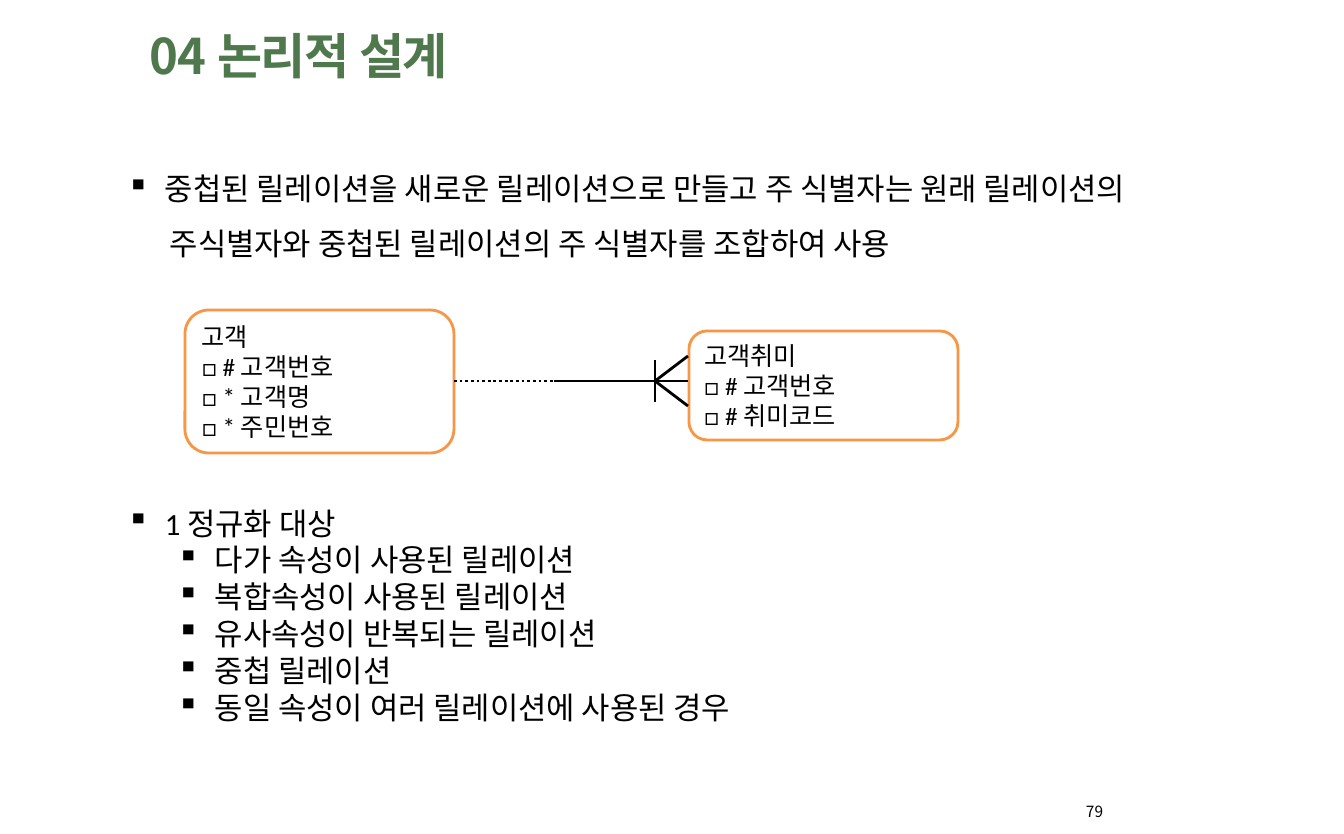
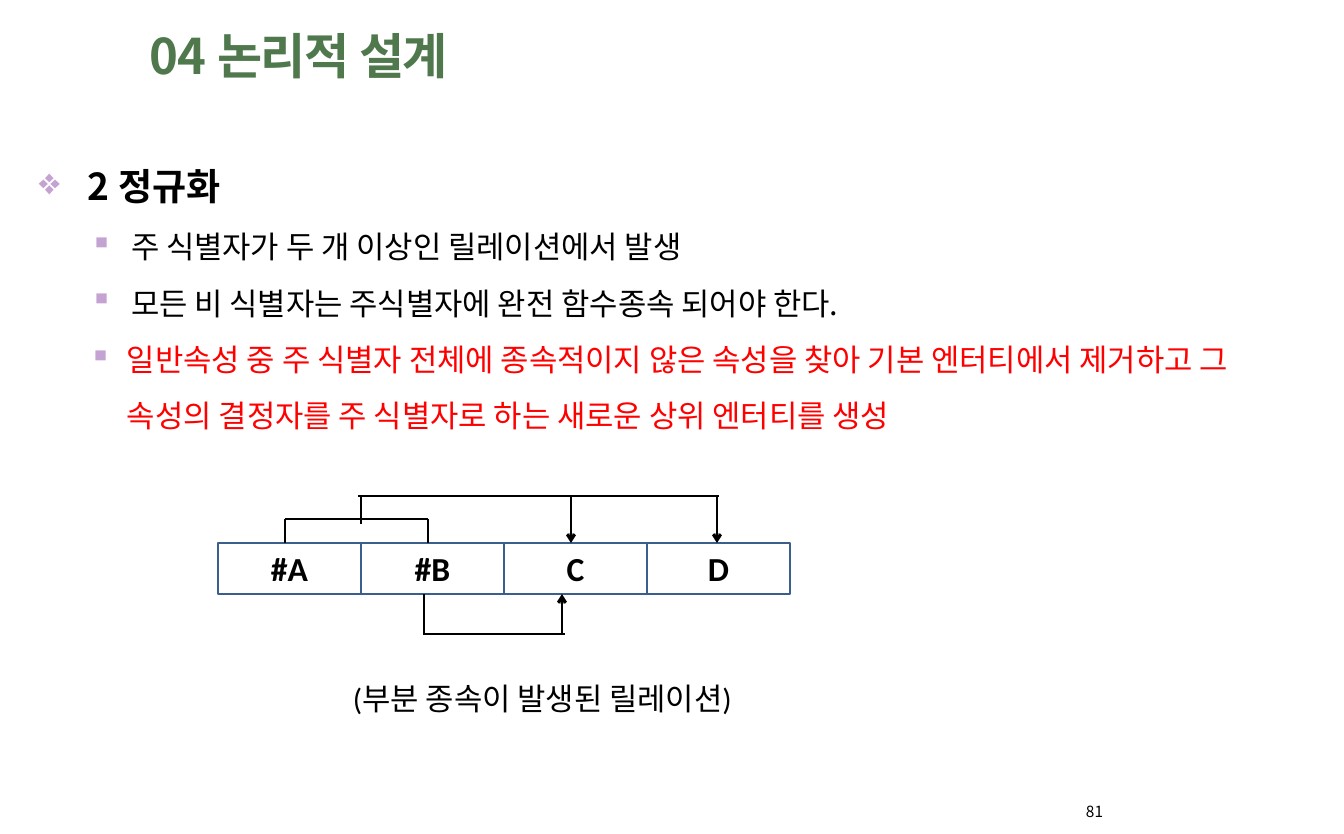
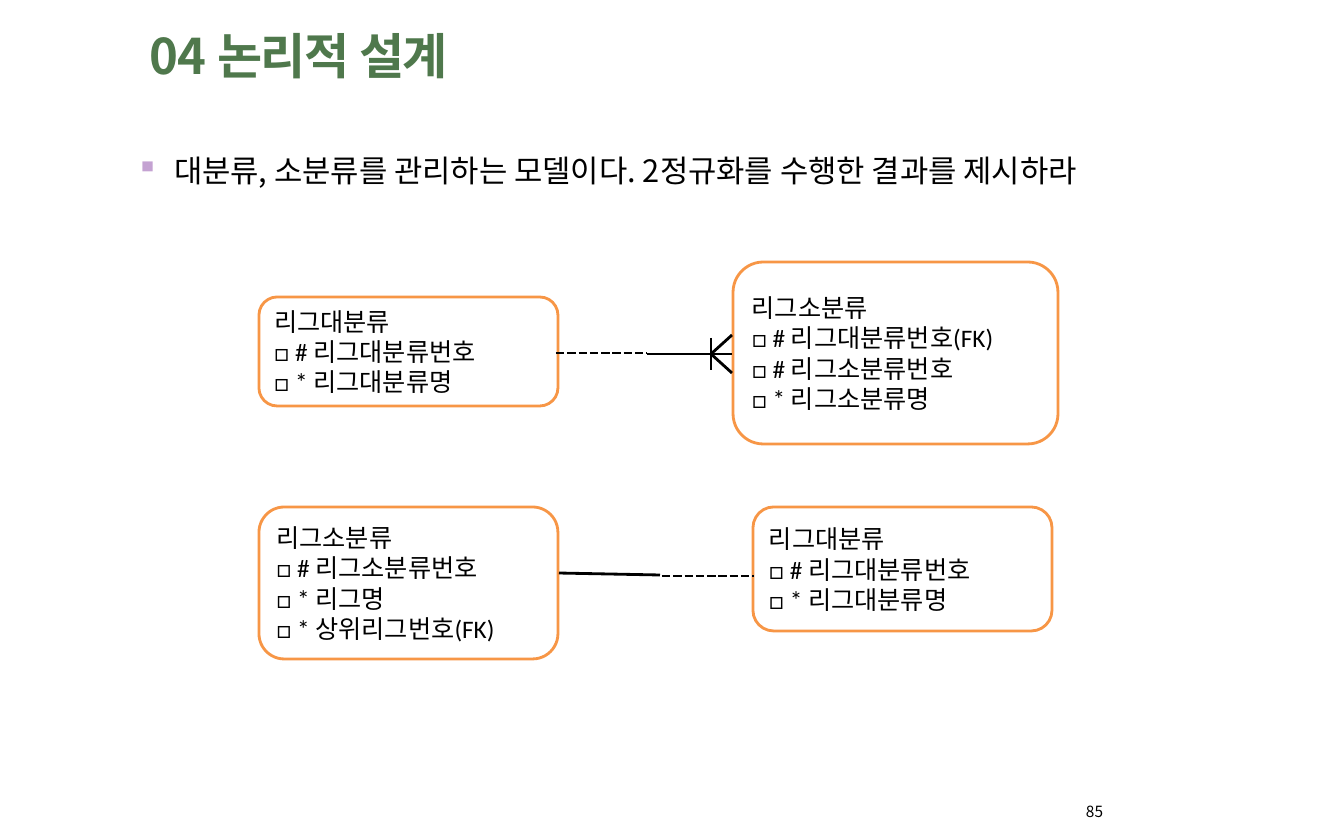
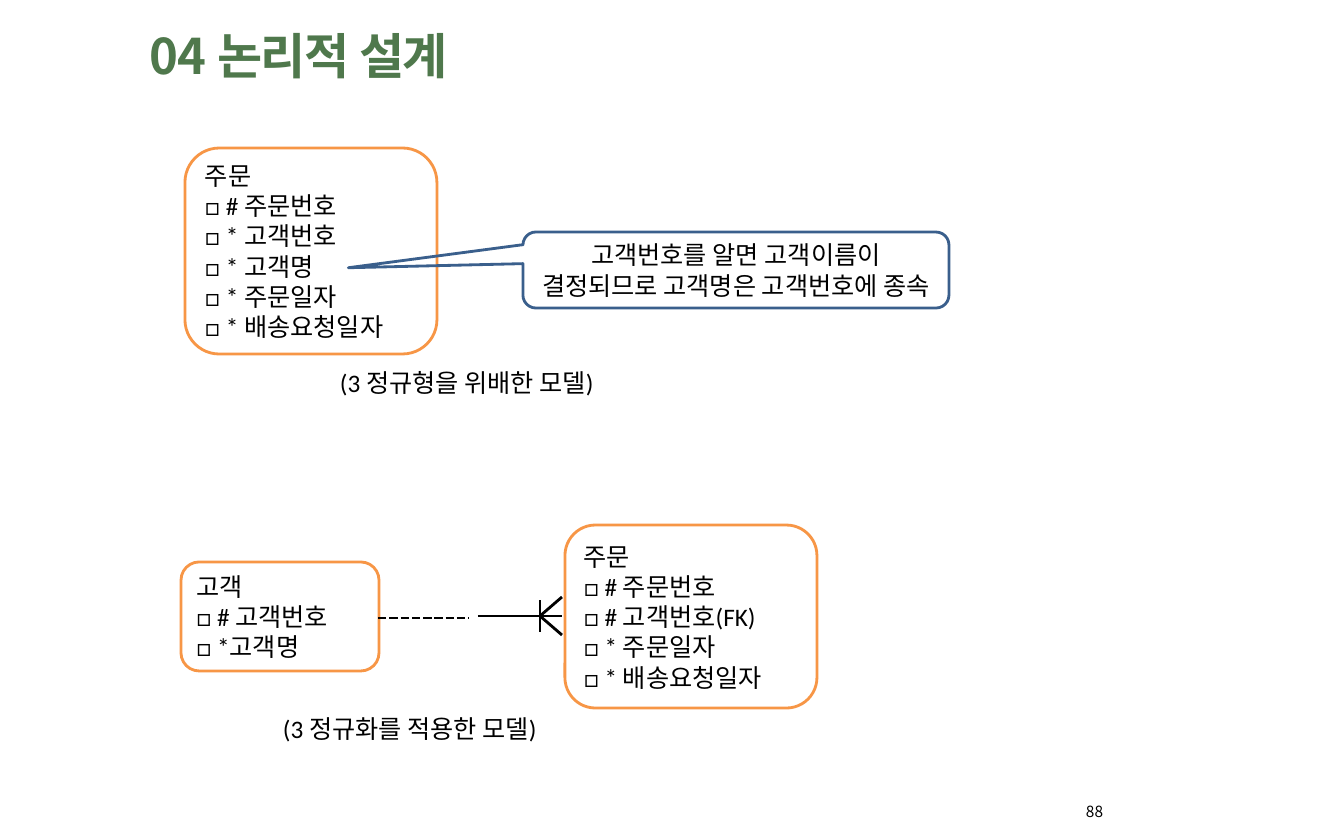
from lxml import etree
from pptx import Presentation
from pptx import util as u
from pptx.dml.color import RGBColor
from pptx.enum import dml, shapes, text
from pptx.oxml import ns

PX = 9071  # EMU in one px, 100.8 px to the inch
BLACK = RGBColor(0, 0, 0)
WHITE = RGBColor(255, 255, 255)
GREEN = RGBColor(0x4F, 0x78, 0x4C)
ORANGE = RGBColor(0xF7, 0x96, 0x46)
BLUE = RGBColor(0x3A, 0x5F, 0x8C)
LILAC = RGBColor(0xC4, 0xA2, 0xD2)
RED = RGBColor(255, 0, 0)
LATIN, KOREAN = "Calibri", "Noto Sans CJK KR"

SLIDE_SIZE = (1344, 834)
TITLE_BOX = (149, 23, 322, 63)
TITLE_RUNS = [("04 ", -70), ("논리적 ", -90), ("설계", -140)]
NUMBER_BOX = (1083, 803, 40, 18)

DOT, DASH = dml.MSO_LINE.ROUND_DOT, dml.MSO_LINE.SQUARE_DOT

# Paragraph styles: margin and hanging indent in px, the rest in points
PLAIN = {"size": 18, "font": LATIN}
BODY = {"size": 22, "font": LATIN, "spacing": 1.5}
POINT = {**BODY, "margin": 38, "hang": 38, "bullet": "▪"}
SUBPOINT = {**POINT, "margin": 88, "spacing": 1.0}
RULE = {**BODY, "font": KOREAN, "margin": 94, "hang": 41, "before": 0.9,
        "bullet": "▪", "bullet_color": LILAC}
HEADING = {**RULE, "size": 26.5, "bold": True, "margin": 51, "hang": 49, "bullet": "❖"}
KEY_RULE = {**RULE, "font": LATIN, "color": RED, "margin": 90, "hang": 38}
TASK = {**RULE, "margin": 90, "hang": 38}

# Entities: (x, y, width, height), lines
# Crow's feet: start x, apex x, end x, y, half spread, half bar
SLIDES = [
    {
        "number": 79,
        "texts": [((117, 146, 1110, 589), [
            ("중첩된 릴레이션을 새로운 릴레이션으로 만들고 주 식별자는 원래 릴레이션의", POINT),
            ("주식별자와 중첩된 릴레이션의 주 식별자를 조합하여 사용", {**BODY, "margin": 43}),
            ("1 정규화 대상", {**POINT, "before": 160}),
            ("다가 속성이 사용된 릴레이션", SUBPOINT),
            ("복합속성이 사용된 릴레이션", SUBPOINT),
            ("유사속성이 반복되는 릴레이션", SUBPOINT),
            ("중첩 릴레이션", SUBPOINT),
            ("동일 속성이 여러 릴레이션에 사용된 경우", SUBPOINT),
        ])],
        "entities": [
            ((185, 310, 269, 143), ["고객", "□ # 고객번호", "□ * 고객명", "□ * 주민번호"]),
            ((689, 331, 269, 109), ["고객취미", "□ # 고객번호", "□ # 취미코드"]),
        ],
        "feet": [(554, 655, 688, 381, 25, 21)],
        "lines": [(454, 381, 554, 381, {"dash": DOT})],
    },
    {
        "number": 81,
        "texts": [((37, 140, 1220, 584), [
            ("2 정규화", HEADING),
            ("주 식별자가 두 개 이상인 릴레이션에서 발생", RULE),
            ("모든 비 식별자는 주식별자에 완전 함수종속 되어야 한다.", RULE),
            ("일반속성 중 주 식별자 전체에 종속적이지 않은 속성을 찾아 기본 엔터티에서 제거하고 "
             "그 속성의 결정자를 주 식별자로 하는 새로운 상위 엔터티를 생성", KEY_RULE),
            ("(부분 종속이 발생된 릴레이션)", {**BODY, "margin": 316, "before": 163}),
        ])],
        "cells": ((218, 543, 143, 51), ["#A", "#B", "C", "D"]),
        "lines": [
            (285, 519, 285, 543, {}),
            (428, 519, 428, 543, {}),
            (285, 519, 428, 519, {}),
            (361, 496, 361, 524, {}),
            (358, 496, 719, 496, {}),
            (571, 496, 571, 543, {"arrow": True}),
            (717, 496, 717, 543, {"arrow": True}),
            (424, 594, 424, 635, {}),
            (423, 634, 565, 634, {}),
            (562, 635, 562, 594, {"arrow": True}),
        ],
    },
    {
        "number": 85,
        "texts": [((84, 132, 1220, 50), [
            ("대분류, 소분류를 관리하는 모델이다. 2정규화를 수행한 결과를 제시하라", TASK),
        ])],
        "entities": [
            ((733, 262, 325, 182),
             ["리그소분류", "□ # 리그대분류번호(FK)", "□ # 리그소분류번호", "□ * 리그소분류명"]),
            ((259, 297, 299, 109), ["리그대분류", "□ # 리그대분류번호", "□ * 리그대분류명"]),
            ((259, 507, 299, 152),
             ["리그소분류", "□ # 리그소분류번호", "□ * 리그명", "□ * 상위리그번호(FK)"]),
            ((753, 507, 299, 124), ["리그대분류", "□ # 리그대분류번호", "□ * 리그대분류명"]),
        ],
        "feet": [(647, 711, 732, 354, 19, 16)],
        "lines": [
            (556, 353, 647, 353, {"dash": DASH}),
            (662, 576, 754, 576, {"dash": DASH}),
            (559, 573, 660, 575, {}),
        ],
    },
    {
        "number": 88,
        "texts": [
            ((330, 362, 295, 40), [("(3 정규형을 위배한 모델)", PLAIN)]),
            ((273, 708, 295, 40), [("(3 정규화를 적용한 모델)", PLAIN)]),
        ],
        "entities": [
            ((565, 525, 252, 183),
             ["주문", "□ # 주문번호", "□ # 고객번호(FK)", "□ * 주문일자", "□ * 배송요청일자"]),
            ((181, 562, 198, 109), ["고객", "□ # 고객번호", "□ *고객명"]),
            ((185, 148, 252, 206),
             ["주문", "□ # 주문번호", "□ * 고객번호", "□ * 고객명", "□ * 주문일자",
              "□ * 배송요청일자"]),
        ],
        "feet": [(478, 540, 562, 616, 19, 16)],
        "lines": [(378, 618, 469, 618, {"dash": DASH})],
        "callout": ((523, 232, 426, 76),
                    "고객번호를 알면 고객이름이 결정되므로 고객명은 고객번호에 종속",
                    (-0.91, -0.03, 0.17)),
    },
]


def px(*lengths):
    return [u.Emu(length * PX) for length in lengths]


def add_xml(parent, tag, **attributes):
    return etree.SubElement(parent, ns.qn(tag), attributes)


def set_insets(frame, left, top, right, bottom):
    for side, value in zip(("left", "top", "right", "bottom"), px(left, top, right, bottom)):
        setattr(frame, "margin_" + side, value)


def set_font(span, size, font=LATIN, color=BLACK, bold=False):
    for name, value in {"size": u.Pt(size), "name": font, "bold": bold}.items():
        setattr(span.font, name, value)
    span.font.color.rgb = color


def write(frame, paragraphs, align=text.PP_ALIGN.LEFT):
    """Fill a text frame with (words, style) paragraphs."""
    frame.word_wrap = True
    for index, (words, style) in enumerate(paragraphs):
        para = frame.paragraphs[0] if index == 0 else frame.add_paragraph()
        span = para.add_run()
        span.text = words
        set_font(span, **{key: style[key] for key in ("size", "font", "color", "bold")
                          if key in style})
        formats = {"alignment": align, "line_spacing": style.get("spacing", 1.0),
                   "space_before": u.Pt(style.get("before", 0))}
        for name, value in formats.items():
            setattr(para, name, value)
        settings = para._p.get_or_add_pPr()
        settings.set("marL", str(style.get("margin", 0) * PX))
        settings.set("indent", str(-style.get("hang", 0) * PX))
        if "bullet" in style:
            color = add_xml(settings, "a:buClr")
            add_xml(color, "a:srgbClr", val=str(style.get("bullet_color", BLACK)))
            add_xml(settings, "a:buChar", char=style["bullet"])


def add_text(page, place, paragraphs):
    box = page.shapes.add_textbox(*px(*place))
    write(box.text_frame, paragraphs)
    return box


def add_box(page, kind, place, line, paragraphs, align, fill=None):
    box = page.shapes.add_shape(kind, *px(*place))
    box.shadow.inherit = False
    if fill is None:
        box.fill.background()
    else:
        box.fill.solid()
        box.fill.fore_color.rgb = fill
    box.line.color.rgb = line
    box.line.width = u.Pt(2)
    box.text_frame.vertical_anchor = text.MSO_ANCHOR.MIDDLE
    write(box.text_frame, paragraphs, align)
    return box


def add_line(page, x1, y1, x2, y2, dash=None, arrow=False):
    line = page.shapes.add_connector(shapes.MSO_CONNECTOR.STRAIGHT, *px(x1, y1, x2, y2))
    line.line.color.rgb = BLACK
    line.line.width = u.Pt(2)
    if dash:
        line.line.dash_style = dash
    if arrow:
        add_xml(line.line._get_or_add_ln(), "a:tailEnd", type="arrow")
    add_xml(line._element.spPr, "a:effectLst")


def add_crows_foot(page, start, apex, end, y, spread, bar):
    add_line(page, start, y, end, y)
    for offset in (-spread, spread):
        add_line(page, apex, y, end, y + offset)
    add_line(page, apex, y - bar, apex, y + bar)


def add_title(page):
    title = page.shapes.title
    title.left, title.top, title.width, title.height = px(*TITLE_BOX)
    frame = title.text_frame
    set_insets(frame, 1, 2, 0, 0)
    frame.vertical_anchor = text.MSO_ANCHOR.TOP
    frame.word_wrap = True
    para = frame.paragraphs[0]
    para.alignment = text.PP_ALIGN.LEFT
    para.space_before = u.Pt(1.2)
    for words, tracking in TITLE_RUNS:
        span = para.add_run()
        span.text = words
        set_font(span, 35, KOREAN, GREEN, True)
        span._r.get_or_add_rPr().set("spc", str(tracking))


def add_number(page, number):
    style = {"size": 11, "font": KOREAN, "margin": 3, "spacing": u.Pt(12.7)}
    box = add_text(page, NUMBER_BOX, [(str(number), style)])
    set_insets(box.text_frame, 0, 0, 0, 0)


def add_page(deck, content):
    page = deck.slides.add_slide(deck.slide_layouts[5])
    add_title(page)
    add_number(page, content["number"])
    for place, paragraphs in content["texts"]:
        box = add_text(page, place, paragraphs)
        if paragraphs[0][1].get("bullet_color"):
            set_insets(box.text_frame, 0, 1, 0, 0)
    for place, lines in content.get("entities", []):
        add_box(page, shapes.MSO_SHAPE.ROUNDED_RECTANGLE, place, ORANGE,
                [(line, PLAIN) for line in lines], text.PP_ALIGN.LEFT, WHITE)
    if "cells" in content:
        (left, top, width, height), labels = content["cells"]
        for index, label in enumerate(labels):
            add_box(page, shapes.MSO_SHAPE.RECTANGLE,
                    (left + index * width, top, width, height), BLUE,
                    [(label, {"size": 24, "bold": True})], text.PP_ALIGN.CENTER)
    for foot in content.get("feet", []):
        add_crows_foot(page, *foot)
    for *ends, look in content["lines"]:
        add_line(page, *ends, **look)
    if "callout" in content:
        place, words, adjustments = content["callout"]
        callout = add_box(page, shapes.MSO_SHAPE.ROUNDED_RECTANGULAR_CALLOUT, place, BLUE,
                          [(words, PLAIN)], text.PP_ALIGN.CENTER)
        for index, value in enumerate(adjustments):
            callout.adjustments[index] = value


def main():
    deck = Presentation()
    deck.slide_width, deck.slide_height = px(*SLIDE_SIZE)
    for content in SLIDES:
        add_page(deck, content)
    deck.save("out.pptx")


if __name__ == "__main__":
    main()
